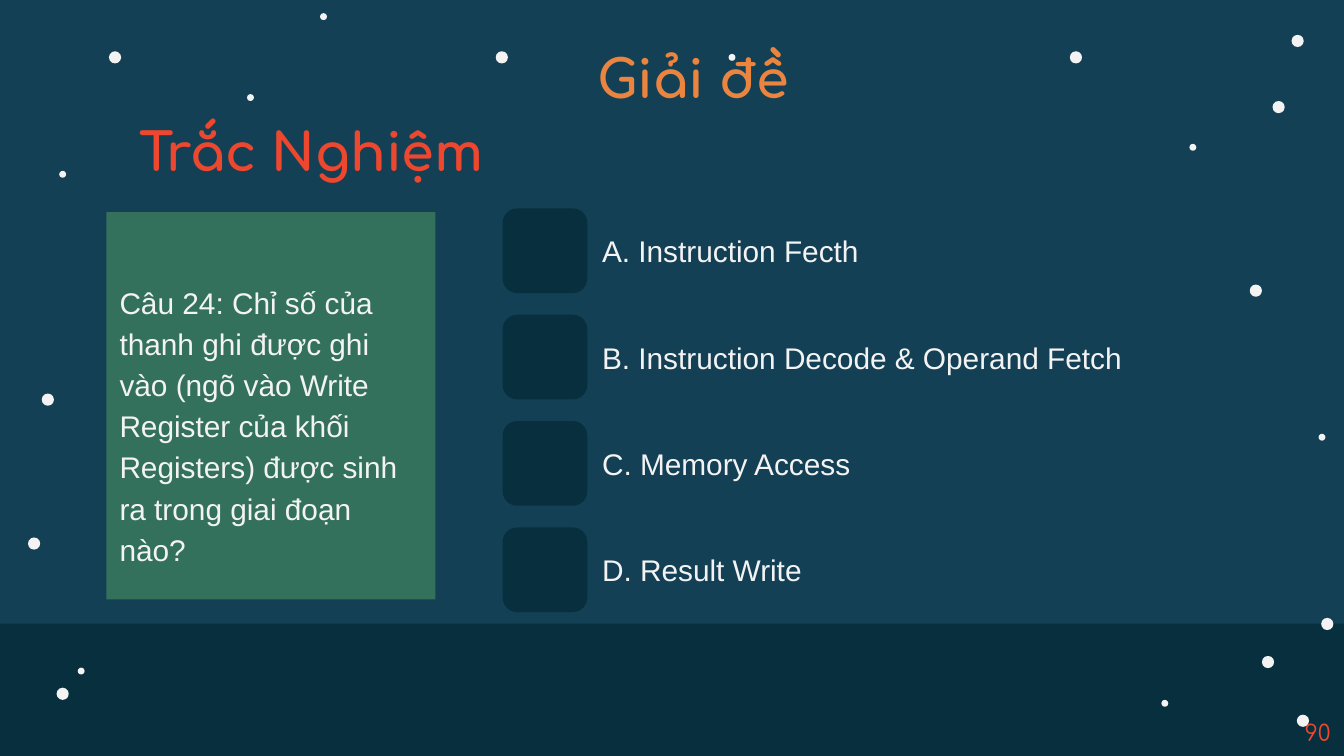
from dataclasses import dataclass, field
from typing import NamedTuple

from pptx import Presentation
from pptx.dml.color import RGBColor
from pptx.enum.shapes import MSO_SHAPE
from pptx.enum.text import MSO_ANCHOR, MSO_AUTO_SIZE, PP_ALIGN
from pptx.util import Cm, Pt

RECTANGLE, ROUNDED, OVAL = MSO_SHAPE.RECTANGLE, MSO_SHAPE.ROUNDED_RECTANGLE, MSO_SHAPE.OVAL
TOP, MIDDLE = MSO_ANCHOR.TOP, MSO_ANCHOR.MIDDLE
LEFT, CENTER, RIGHT = PP_ALIGN.LEFT, PP_ALIGN.CENTER, PP_ALIGN.RIGHT
FIXED, GROW = MSO_AUTO_SIZE.NONE, MSO_AUTO_SIZE.SHAPE_TO_FIT_TEXT


@dataclass(frozen=True)
class Theme:
    night: str = "144055"
    dark: str = "082F3D"
    white: str = "F3F3F3"
    green: str = "33715C"
    orange: str = "EA843F"
    red: str = "ED472F"
    body_font: str = "Arial"
    title_font: str = "Comfortaa"
    title_size: int = 28
    body_size: int = 16
    number_size: int = 12


THEME = Theme()


class Area(NamedTuple):
    """Left, top, width and height in centimetres."""
    left: float
    top: float
    width: float
    height: float

    def lengths(self) -> list:
        return [Cm(value) for value in self]


class Insets(NamedTuple):
    left: float = 0.25
    top: float = 0.13
    right: float = 0.25
    bottom: float = 0.13


@dataclass(frozen=True)
class TextStyle:
    color: str = THEME.white
    font: str = THEME.body_font
    size: int = THEME.body_size
    bold: bool = False
    insets: Insets = Insets()
    anchor: int = MIDDLE
    auto_size: int = FIXED
    paragraph: dict = field(default_factory=lambda: {"alignment": LEFT})


class StarGroup(NamedTuple):
    diameter: float
    corners: list


STAR_GROUPS = [
    StarGroup(0.23, [
        (2.06, 0.97), (23.62, 5.38), (20.22, 0.97), (24.41, 0.66),
        (9.37, 0.97), (24.51, 13.51), (0.79, 7.44), (24.05, 1.91),
        (23.85, 12.4), (24.97, 11.68), (0.53, 10.16), (1.07, 13),
    ]),
    StarGroup(0.13, [
        (1.12, 3.23), (22.48, 2.72), (21.95, 13.23), (1.47, 12.62),
        (13.77, 1.02), (6.05, 0.25), (4.67, 1.78), (24.92, 8.2),
    ]),
]

QUESTION = ("Câu 24: Chỉ số của thanh ghi được ghi vào (ngõ vào Write Register "
            "của khối Registers) được sinh ra trong giai đoạn nào?")
ANSWERS = [
    "A. Instruction Fecth",
    "B. Instruction Decode & Operand Fetch",
    "C. Memory Access",
    "D. Result Write",
]
ANSWER_TOP, ANSWER_PITCH = 3.94, 2.01
TILE_LEFT, TILE_SIZE = 9.5, 1.6
LABEL_LEFT, LABEL_WIDTH, LABEL_HEIGHT = 11.38, 12.4, 1.12


def set_values(target, values: dict) -> None:
    for name, value in values.items():
        setattr(target, name, value)


def add_shape(page, kind, area: Area, color: str):
    shape = page.shapes.add_shape(kind, *area.lengths())
    shape.shadow.inherit = False
    shape.fill.solid()
    shape.fill.fore_color.rgb = RGBColor.from_string(color)
    shape.line.fill.background()
    return shape


def write(box, text: str, style: TextStyle) -> None:
    frame = box.text_frame
    set_values(frame, {
        "word_wrap": True,
        "auto_size": style.auto_size,
        "vertical_anchor": style.anchor,
        "margin_left": Cm(style.insets.left),
        "margin_top": Cm(style.insets.top),
        "margin_right": Cm(style.insets.right),
        "margin_bottom": Cm(style.insets.bottom),
    })
    para = frame.paragraphs[0]
    set_values(para, style.paragraph)
    span = para.add_run()
    span.text = text
    set_values(span.font, {"name": style.font, "size": Pt(style.size), "bold": style.bold})
    span.font.color.rgb = RGBColor.from_string(style.color)


def add_text(page, area: Area, text: str, style: TextStyle) -> None:
    write(page.shapes.add_textbox(*area.lengths()), text, style)


def add_answer(page, index: int, text: str) -> None:
    top = ANSWER_TOP + index * ANSWER_PITCH
    tile = add_shape(page, ROUNDED, Area(TILE_LEFT, top, TILE_SIZE, TILE_SIZE), THEME.dark)
    tile.adjustments[0] = 0.17
    label_top = top + (TILE_SIZE - LABEL_HEIGHT) / 2
    add_text(page, Area(LABEL_LEFT, label_top, LABEL_WIDTH, LABEL_HEIGHT), text,
             TextStyle(insets=Insets(0, 0, 0, 0)))


def main() -> None:
    deck = Presentation()
    deck.slide_width, deck.slide_height = Cm(25.4), Cm(14.29)
    page = deck.slides.add_slide(deck.slide_layouts[6])

    # Night sky, ground and stars
    page.background.fill.solid()
    page.background.fill.fore_color.rgb = RGBColor.from_string(THEME.night)
    add_shape(page, RECTANGLE, Area(0, 11.79, 25.4, 2.59), THEME.dark)
    for group in STAR_GROUPS:
        for left, top in group.corners:
            add_shape(page, OVAL, Area(left, top, group.diameter, group.diameter), THEME.white)

    # Answers
    for index, answer in enumerate(ANSWERS):
        add_answer(page, index, answer)

    # Question
    panel = add_shape(page, RECTANGLE, Area(2.01, 4.01, 6.22, 7.32), THEME.green)
    write(panel, QUESTION, TextStyle(
        insets=Insets(0.25, 0.66, 0.25, 0),
        paragraph={"alignment": LEFT, "line_spacing": 1.15, "space_after": Pt(16)}))

    # Headings and slide number
    add_text(page, Area(2.39, 0.66, 21.41, 1.6), "Giải đề", TextStyle(
        THEME.orange, THEME.title_font, THEME.title_size, True,
        insets=Insets(0.25, 0.25, 0.25, 0.25), paragraph={"alignment": CENTER}))
    add_text(page, Area(2.39, 2.13, 12.7, 1.45), "Trắc Nghiệm", TextStyle(
        THEME.red, THEME.title_font, THEME.title_size, True, anchor=TOP, auto_size=GROW))
    add_text(page, Area(19.69, 13.46, 5.71, 0.76), "90", TextStyle(
        THEME.red, THEME.title_font, THEME.number_size, paragraph={"alignment": RIGHT}))

    deck.save("out.pptx")


if __name__ == "__main__":
    main()
